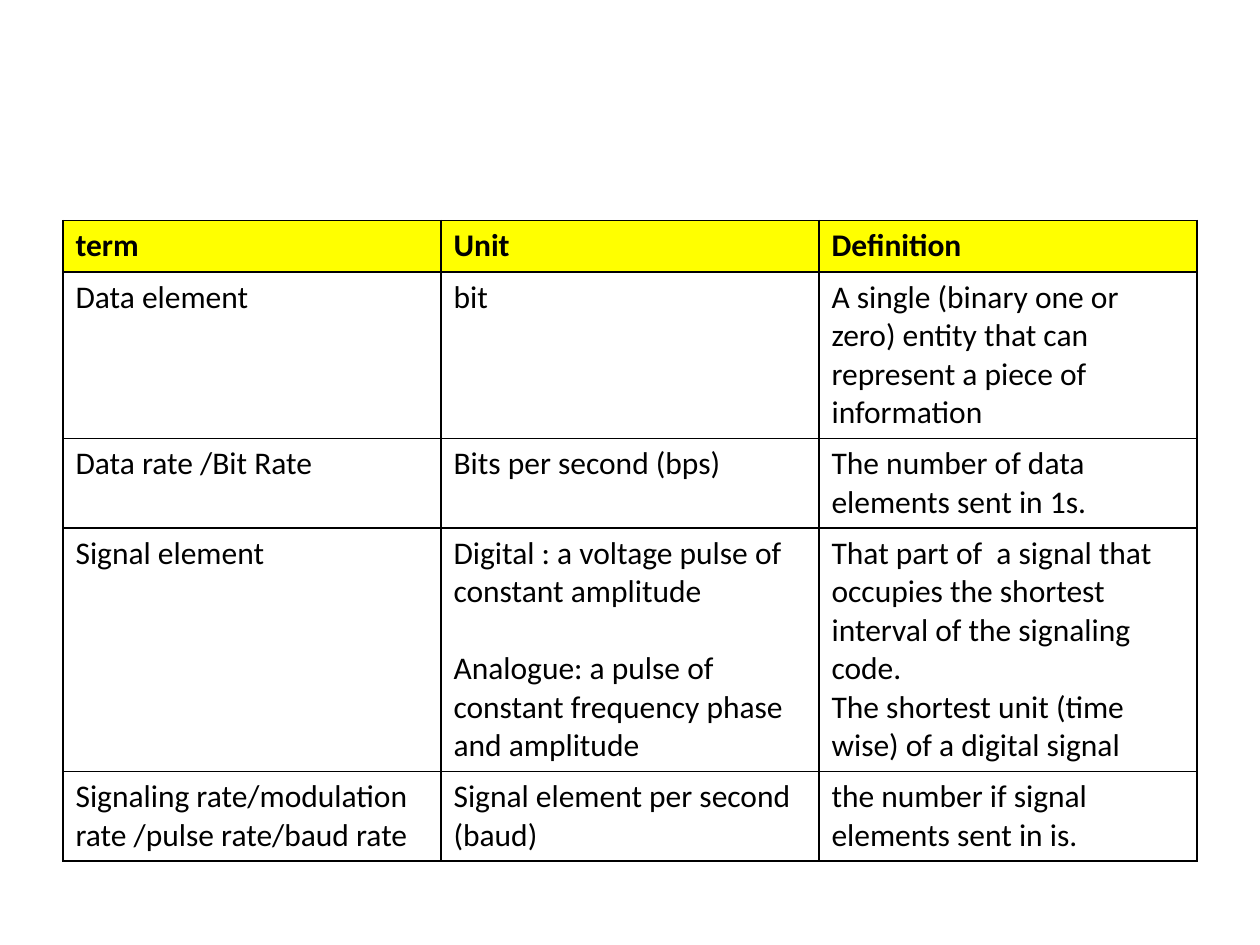
"""Build a slide with a table of data and signal terms."""
import pptx
import pptx.dml.color
import pptx.oxml
import pptx.oxml.ns
import pptx.util
from pptx.util import Inches

COLOURS = {"header": "FFFF00", "body": "FFFFFF", "ink": "000000"}
BORDER_SIDES = ("a:lnL", "a:lnR", "a:lnT", "a:lnB")
BORDER_WIDTH = pptx.util.Pt(1)
PARAGRAPH_GAP = pptx.util.Pt(22)

TERMS = [
    ("term", "Unit", "Definition"),
    ("Data element", "bit",
     "A single (binary one or zero) entity that can represent a piece of information"),
    ("Data rate /Bit Rate", "Bits per second (bps)",
     "The number of data elements sent in 1s."),
    ("Signal element",
     "Digital : a voltage pulse of constant amplitude\n"
     "Analogue: a pulse of constant frequency phase and amplitude",
     "That part of  a signal that occupies the shortest interval of the signaling code.\n"
     "The shortest unit (time wise) of a digital signal"),
    ("Signaling rate/modulation rate /pulse rate/baud rate",
     "Signal element per second (baud)",
     "the number if signal elements sent in is."),
]


def add_borders(cell):
    """Draw a thin line on each side of a cell."""
    properties = cell._tc.get_or_add_tcPr()
    for position, side in enumerate(BORDER_SIDES):
        properties.insert(position, pptx.oxml.parse_xml(
            f'<{side} {pptx.oxml.ns.nsdecls("a")} w="{BORDER_WIDTH}"><a:solidFill>'
            f'<a:srgbClr val="{COLOURS["ink"]}"/></a:solidFill></{side}>'))


presentation = pptx.Presentation()
presentation.slide_width = Inches(10)
presentation.slide_height = Inches(7.5)
slide = presentation.slides.add_slide(presentation.slide_layouts[6])

row_height = Inches(0.41)
glossary = slide.shapes.add_table(
    len(TERMS), len(TERMS[0]), Inches(0.5), Inches(1.75),
    Inches(9), row_height * len(TERMS)).table

for row, entries in enumerate(TERMS):
    glossary.rows[row].height = row_height
    is_header = row == 0
    for column, entry in enumerate(entries):
        cell = glossary.cell(row, column)
        cell.fill.solid()
        cell.fill.fore_color.rgb = pptx.dml.color.RGBColor.from_string(
            COLOURS["header" if is_header else "body"])
        add_borders(cell)
        cell.text_frame.text = entry
        for paragraph in cell.text_frame.paragraphs:
            for run in paragraph.runs:
                run.font.name = "Calibri"
                run.font.size = pptx.util.Pt(18)
                run.font.bold = is_header
                run.font.color.rgb = pptx.dml.color.RGBColor.from_string(COLOURS["ink"])

signal_units = glossary.cell(3, 1).text_frame
signal_units.paragraphs[1].space_before = PARAGRAPH_GAP

presentation.save("out.pptx")
